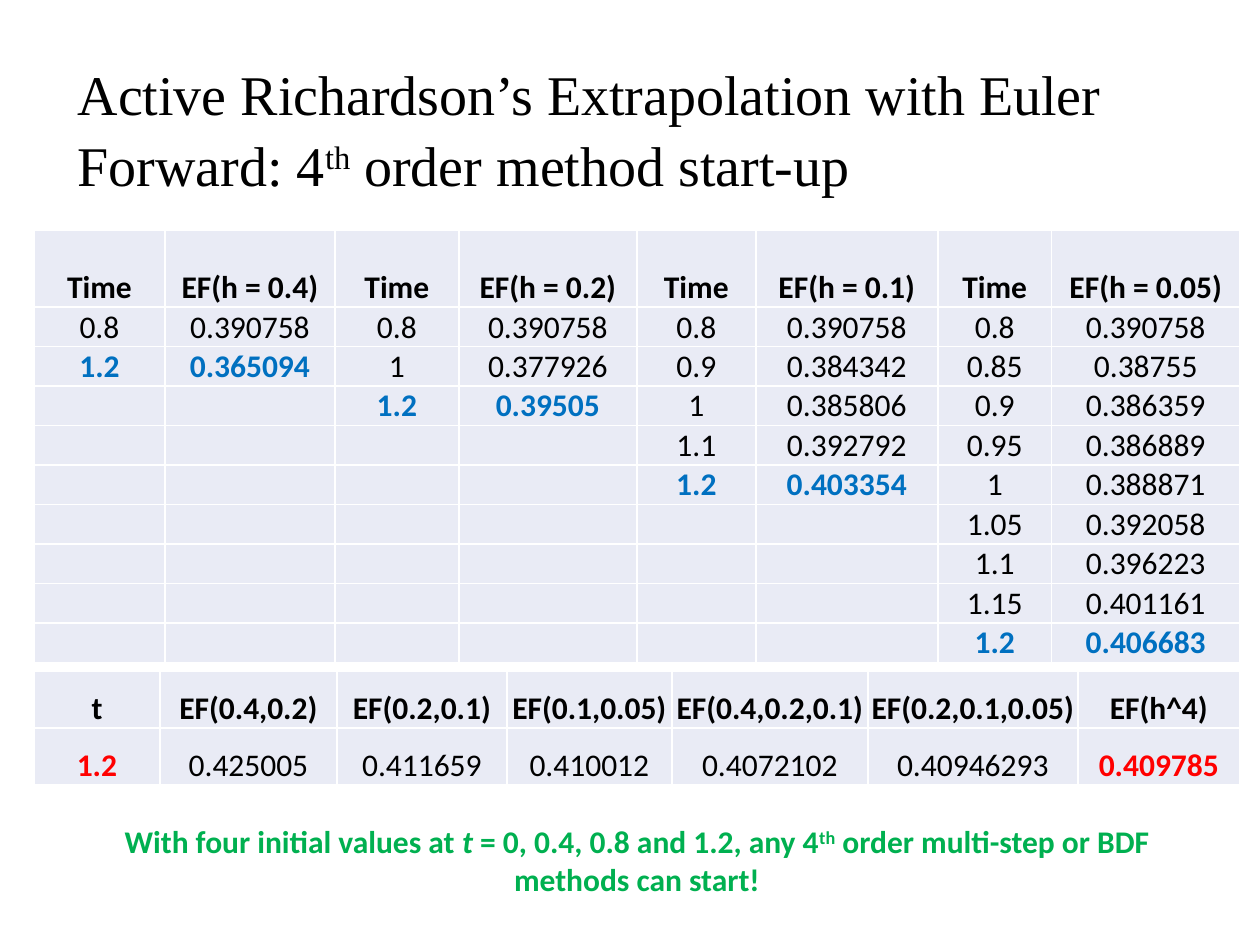
from lxml.etree import SubElement
from pptx import Presentation
from pptx.dml.color import RGBColor
from pptx.enum.text import MSO_ANCHOR, MSO_AUTO_SIZE, PP_ALIGN
from pptx.oxml.ns import qn
from pptx.util import Pt

PX = 914400 // 126
BLACK = RGBColor(0x00, 0x00, 0x00)
BLUE = RGBColor(0x00, 0x70, 0xC0)
RED = RGBColor(0xFF, 0x00, 0x00)
GREEN = RGBColor(0x00, 0xB0, 0x50)
PALE = RGBColor(0xE9, 0xEB, 0xF5)
WHITE = RGBColor(0xFF, 0xFF, 0xFF)

TITLE = [("Active Richardson’s Extrapolation with Euler Forward: 4", ""),
         ("th", "super"), (" order method start-up", "")]
NOTE = [("With four initial values at ", ""), ("t", "italic"),
        (" = 0, 0.4, 0.8 and 1.2, any 4", ""), ("th", "super"),
        (" order multi-step or BDF methods can start!", "")]

RUNS = [
    ("EF(h = 0.4)", ["0.8", "1.2"], ["0.390758", "0.365094"]),
    ("EF(h = 0.2)", ["0.8", "1", "1.2"],
     ["0.390758", "0.377926", "0.39505"]),
    ("EF(h = 0.1)", ["0.8", "0.9", "1", "1.1", "1.2"],
     ["0.390758", "0.384342", "0.385806", "0.392792", "0.403354"]),
    ("EF(h = 0.05)",
     ["0.8", "0.85", "0.9", "0.95", "1", "1.05", "1.1", "1.15", "1.2"],
     ["0.390758", "0.38755", "0.386359", "0.386889", "0.388871",
      "0.392058", "0.396223", "0.401161", "0.406683"]),
]
STEP_COLS = [131, 170, 124, 178, 119, 182, 114, 188]
STEP_ROWS = [77] + [39] * 9

FINAL = [("t", "1.2"), ("EF(0.4,0.2)", "0.425005"),
         ("EF(0.2,0.1)", "0.411659"), ("EF(0.1,0.05)", "0.410012"),
         ("EF(0.4,0.2,0.1)", "0.4072102"),
         ("EF(0.2,0.1,0.05)", "0.40946293"), ("EF(h^4)", "0.409785")]
FINAL_COLS = [126, 177, 170, 165, 196, 210, 162]
FINAL_ROWS = [57, 57]


def write(frame, parts, size=18, font="Calibri", color=BLACK, bold=False,
          align=PP_ALIGN.CENTER, spacing=None):
    para = frame.paragraphs[0]
    para.alignment = align
    para.line_spacing = spacing
    for text, style in parts:
        run = para.add_run()
        run.text = text
        face = run.font
        face.size, face.name, face.bold = Pt(size), font, bold
        face.color.rgb = color
        if style == "italic":
            face.italic = True
        elif style == "super":
            run._r.get_or_add_rPr().set("baseline", "30000")


def border(cell):
    props = cell._tc.get_or_add_tcPr()
    for side in ("a:lnL", "a:lnR", "a:lnT", "a:lnB"):
        line = SubElement(props, qn(side), w=str(Pt(1)))
        fill = SubElement(line, qn("a:solidFill"))
        SubElement(fill, qn("a:srgbClr"), val=str(WHITE))


def grid(slide, top, cols, rows, cells):
    table = slide.shapes.add_table(
        len(rows), len(cols), 34 * PX, top * PX,
        sum(cols) * PX, sum(rows) * PX).table
    for col, wide in zip(table.columns, cols):
        col.width = wide * PX
    for row, high in zip(table.rows, rows):
        row.height = high * PX
    for r in range(len(rows)):
        for c in range(len(cols)):
            cell = table.cell(r, c)
            border(cell)
            cell.fill.solid()
            cell.fill.fore_color.rgb = PALE
            cell.vertical_anchor = MSO_ANCHOR.BOTTOM
            cell.margin_left = cell.margin_right = cell.margin_top = PX
            cell.margin_bottom = 0
            if (r, c) in cells:
                text, color, bold = cells[r, c]
                write(cell.text_frame, [(text, "")], color=color, bold=bold)


def place(shape, left, top, wide, high):
    shape.left, shape.top = left * PX, top * PX
    shape.width, shape.height = wide * PX, high * PX
    frame = shape.text_frame
    frame.word_wrap = True
    frame.auto_size = MSO_AUTO_SIZE.NONE
    frame.vertical_anchor = MSO_ANCHOR.TOP
    return frame


def main():
    deck = Presentation()
    deck.slide_width, deck.slide_height = 1260 * PX, 945 * PX
    slide = deck.slides.add_slide(deck.slide_layouts[5])

    steps = {}
    for i, (head, times, values) in enumerate(RUNS):
        for c, name, data in ((2 * i, "Time", times),
                              (2 * i + 1, head, values)):
            steps[0, c] = (name, BLACK, True)
            for r, text in enumerate(data, 1):
                last = r == len(data)
                steps[r, c] = (text, BLUE if last else BLACK, last)
    grid(slide, 230, STEP_COLS, STEP_ROWS, steps)

    final = {}
    for c, (head, value) in enumerate(FINAL):
        edge = c in (0, len(FINAL) - 1)
        final[0, c] = (head, BLACK, True)
        final[1, c] = (value, RED if edge else BLACK, edge)
    grid(slide, 671, FINAL_COLS, FINAL_ROWS, final)

    write(place(slide.shapes.title, 65, 49, 1130, 149), TITLE, size=32,
          font="Times New Roman", align=PP_ALIGN.LEFT, spacing=1.06)
    note = slide.shapes.add_textbox(0, 0, PX, PX)
    write(place(note, 92, 816, 1090, 89), NOTE, color=GREEN, bold=True)
    deck.save("out.pptx")


if __name__ == "__main__":
    main()
